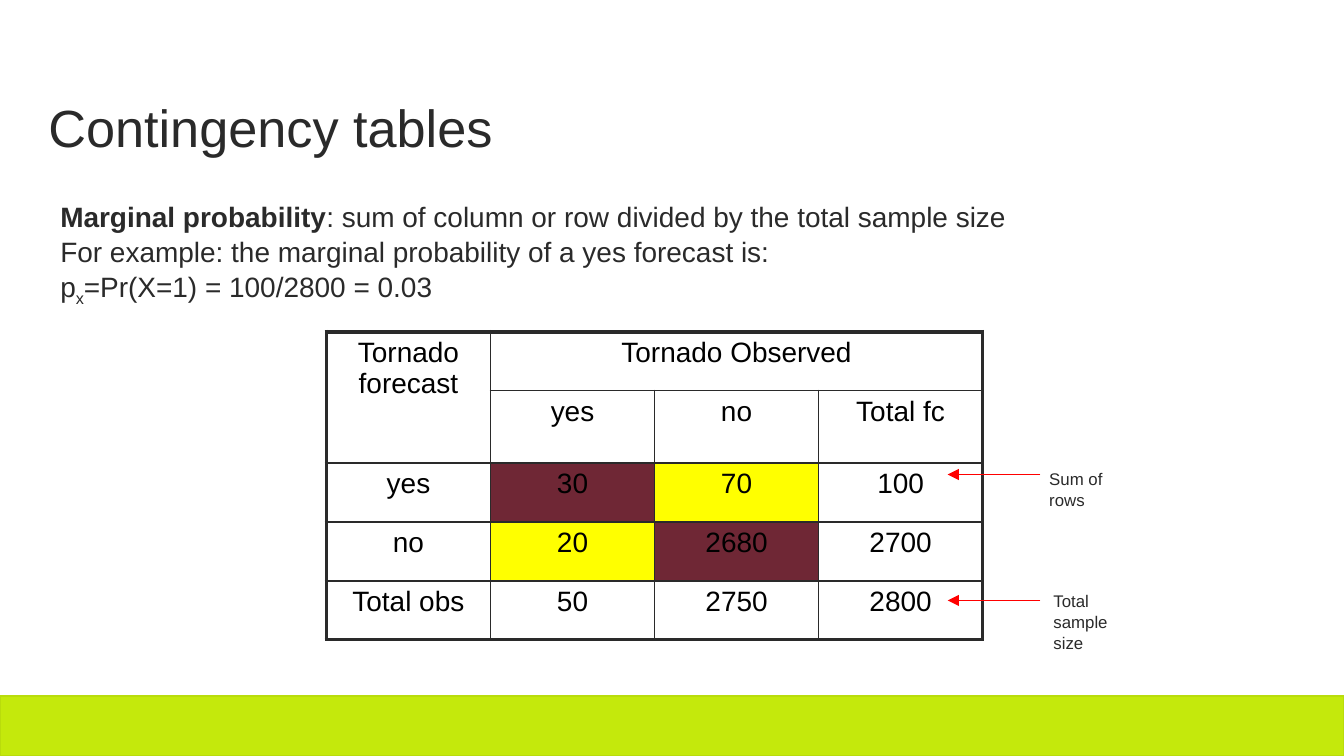
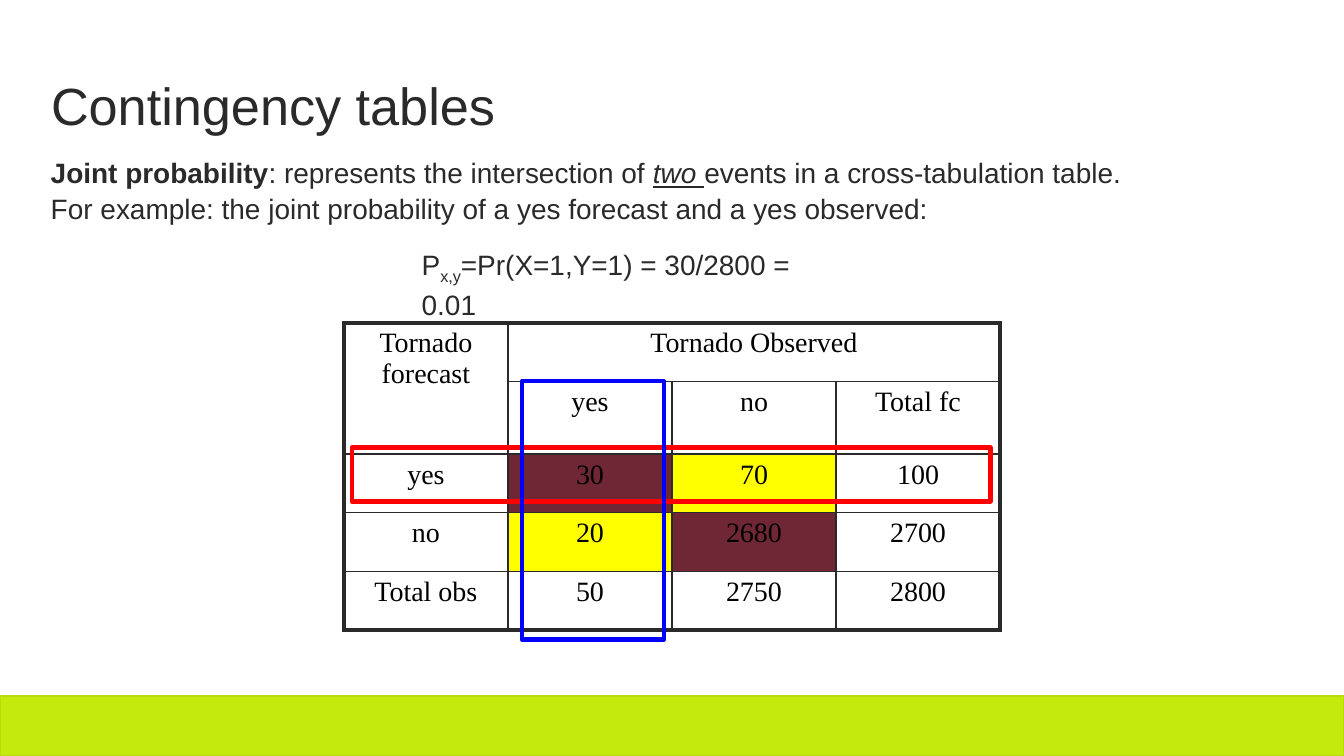
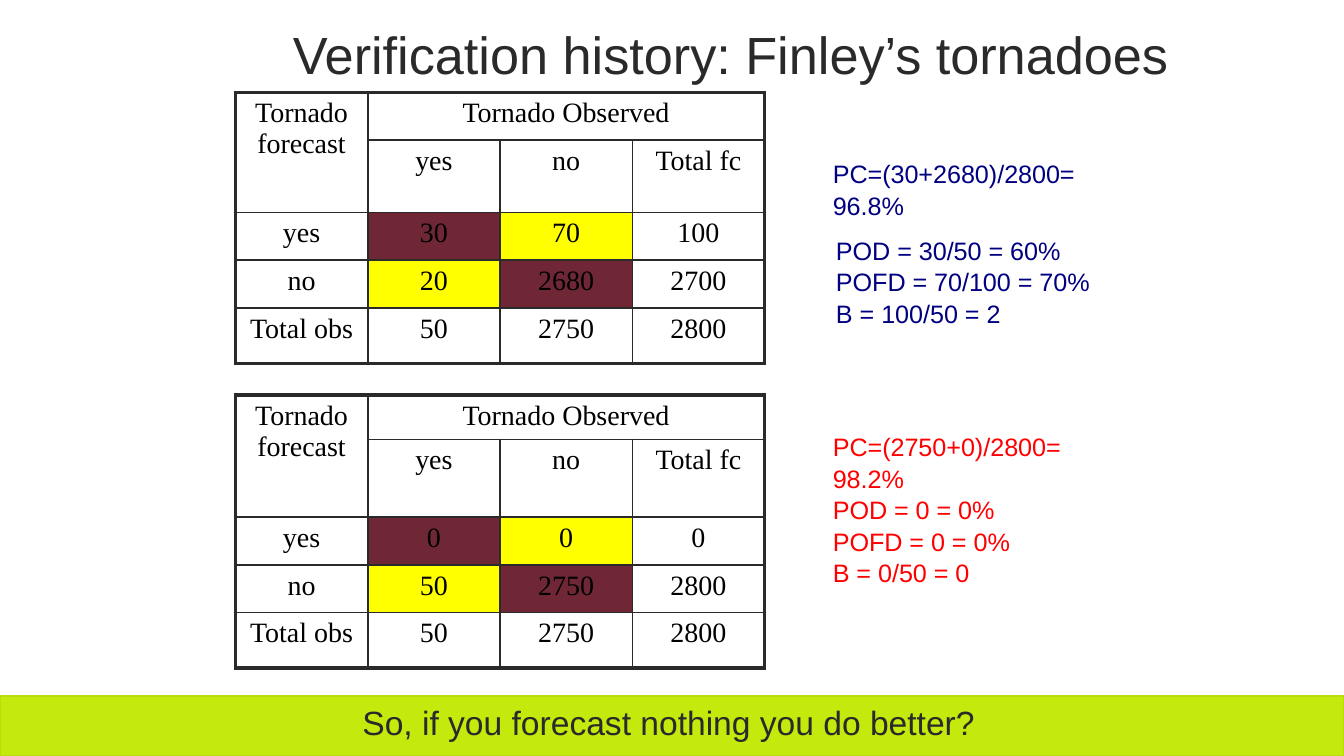
"""Build three slides on contingency tables and tornado forecast verification."""
from lxml import etree
from pptx import Presentation
from pptx import util as u
from pptx.dml.color import RGBColor
from pptx.enum import shapes, text
from pptx.oxml import ns

INK = RGBColor(0x2A, 0x2A, 0x2A)
BLACK = RGBColor(0, 0, 0)
LIME = RGBColor(0xC4, 0xE9, 0x0C)
LIME_EDGE = RGBColor(0xB9, 0xDC, 0x0C)
MAROON = RGBColor(0x6F, 0x27, 0x35)
YELLOW = RGBColor(0xFF, 0xFF, 0)
RED = RGBColor(0xFF, 0, 0)
BLUE = RGBColor(0, 0, 0xFF)
NAVY = RGBColor(0, 0, 0x80)

SANS, SERIF = "Arial", "Times New Roman"
PAGE_WIDTH, PAGE_HEIGHT, BAND_TOP = 25.4, 14.29, 13.16
TITLE_HEIGHT, WIDE = 1.6, 24
THIN, THICK = 1, 2.25

FINLEY = [(30, 70, 100), (20, 2680, 2700), (50, 2750, 2800)]
NO_FORECAST = [(0, 0, 0), (50, 2750, 2800), (50, 2750, 2800)]
ROW_LABELS = ["yes", "no", "Total obs"]
CELL_FILLS = {(2, 1): MAROON, (3, 2): MAROON, (2, 2): YELLOW, (3, 1): YELLOW}


def centimetres(*lengths):
    """Turn plain numbers into lengths."""
    return [u.Cm(length) for length in lengths]


def style_font(font, size, color, name=SANS):
    """Give a font its face, size and colour."""
    font.name, font.size, font.color.rgb = name, u.Pt(size), color


def add_page(deck, title, left, top, width=WIDE):
    """Add a slide with the lime band and a bottom-anchored title."""
    page = deck.slides.add_slide(deck.slide_layouts[5])
    add_rectangle(page, (0, BAND_TOP, PAGE_WIDTH, PAGE_HEIGHT - BAND_TOP), LIME_EDGE, 1, LIME)
    box = page.shapes.title
    box.left, box.top, box.width, box.height = centimetres(left, top, width, TITLE_HEIGHT)
    frame = box.text_frame
    frame.text = title
    frame.auto_size = text.MSO_AUTO_SIZE.NONE
    frame.vertical_anchor = text.MSO_ANCHOR.BOTTOM
    para = frame.paragraphs[0]
    para.alignment = text.PP_ALIGN.LEFT
    para.line_spacing = 0.9
    style_font(para.runs[0].font, 28, INK)
    return page


def add_rectangle(page, bounds, edge, weight, fill=None):
    """Draw a rectangle, hollow unless a fill is given."""
    box = page.shapes.add_shape(shapes.MSO_SHAPE.RECTANGLE, *centimetres(*bounds))
    box.shadow.inherit = False
    box.line.color.rgb, box.line.width = edge, u.Pt(weight)
    if fill is None:
        box.fill.background()
    else:
        box.fill.solid()
        box.fill.fore_color.rgb = fill


def add_text(page, bounds, lines, size, color=INK):
    """Write lines, each a string or a list of (text, style) spans."""
    frame = page.shapes.add_textbox(*centimetres(*bounds)).text_frame
    frame.word_wrap = True
    for index, line in enumerate(lines):
        para = frame.paragraphs[0] if index == 0 else frame.add_paragraph()
        para.line_spacing = 1.05
        for words, style in [(line, "")] if isinstance(line, str) else line:
            span = para.add_run()
            span.text = words
            style_font(span.font, size, color)
            if style == "bold":
                span.font.bold = True
            elif style == "stress":
                span.font.italic = span.font.underline = True
            elif style == "subscript":
                span.font._element.set("baseline", "-25000")


def add_arrow(page, start, end, level):
    """Draw a level red arrow."""
    arrow = page.shapes.add_connector(
        shapes.MSO_CONNECTOR.STRAIGHT, *centimetres(start, level, end, level))
    arrow.line.color.rgb, arrow.line.width = RED, u.Pt(0.75)
    etree.SubElement(arrow.line._get_or_add_ln(), ns.qn("a:tailEnd"), type="triangle")
    etree.SubElement(arrow.element.spPr, ns.qn("a:effectLst"))


def set_borders(cell, weights):
    """Rule the left, right, top and bottom edges of a cell."""
    properties = cell._tc.get_or_add_tcPr()
    for index, (edge, weight) in enumerate(zip("LRTB", weights)):
        line = etree.Element(ns.qn(f"a:ln{edge}"), w=str(u.Pt(weight)))
        fill = etree.SubElement(line, ns.qn("a:solidFill"))
        etree.SubElement(fill, ns.qn("a:srgbClr"), val=str(INK))
        properties.insert(index, line)


def add_contingency(page, left, top, column, heights, counts, face=SERIF):
    """Place a forecast against observation table at the given corner."""
    rows = [["Tornado forecast", "Tornado Observed", "", ""], ["", "yes", "no", "Total fc"]]
    rows += [[label, *map(str, values)] for label, values in zip(ROW_LABELS, counts)]
    last_row, last_column = len(rows) - 1, len(rows[0]) - 1
    bounds = centimetres(left, top, column * len(rows[0]), sum(heights))
    table = page.shapes.add_table(len(rows), len(rows[0]), *bounds).table
    table.first_row = table.horz_banding = False
    for part in table.columns:
        part.width = u.Cm(column)
    for part, height in zip(table.rows, heights):
        part.height = u.Cm(height)
    table.cell(0, 0).merge(table.cell(1, 0))
    table.cell(0, 1).merge(table.cell(0, last_column))
    for row, words in enumerate(rows):
        for place, word in enumerate(words):
            cell = table.cell(row, place)
            cell.margin_left = cell.margin_right = u.Cm(0.18)
            cell.margin_top = cell.margin_bottom = u.Cm(0.1)
            if (row, place) in CELL_FILLS:
                cell.fill.solid()
                cell.fill.fore_color.rgb = CELL_FILLS[row, place]
            else:
                cell.fill.background()
            outer = (place == 0, place + cell.span_width > last_column,
                     row == 0, row + cell.span_height > last_row)
            set_borders(cell, [THICK if edge else THIN for edge in outer])
            if word:
                cell.text = word
                para = cell.text_frame.paragraphs[0]
                para.alignment = text.PP_ALIGN.CENTER
                para.space_after = u.Pt(14.2)
                style_font(para.runs[0].font, 15, BLACK, face)


def add_scores(page, left, top, accuracy, accuracy_width, scores, scores_at, color):
    """Write the accuracy and, below it, the other scores."""
    add_text(page, (left, top, accuracy_width, 0.84), [accuracy], 13.5, color)
    shift, drop, width = scores_at
    add_text(page, (left + shift, top + drop, width, 1.98), scores, 13.5, color)


def build_marginal(deck):
    """Explain marginal probability."""
    page = add_page(deck, "Contingency tables", 0.66, 1.52)
    left, top = 6.17, 6.27
    add_contingency(page, left, top, 3.1, [1.11] * 5, FINLEY, SANS)
    add_text(page, (0.89, 3.61, WIDE, 2.18), [
        [("Marginal probability", "bold"),
         (": sum of column or row divided by the total sample size", "")],
        "For example: the marginal probability of a yes forecast is:",
        [("p", ""), ("x", "subscript"), ("=Pr(X=1) = 100/2800 = 0.03", "")],
    ], 15)
    for drop in (2.7, 5.08):
        add_arrow(page, left + 13.49, left + 11.74, top + drop)
    add_text(page, (left + 13.41, top + 2.44, 2.13, 0.64), ["Sum of rows"], 9)
    add_text(page, (left + 13.49, top + 4.75, 2.26, 1.02), ["Total sample", "size"], 9)


def build_joint(deck):
    """Explain joint probability."""
    page = add_page(deck, "Contingency tables", 0.71, 1.12)
    left, top = 6.5, 6.1
    add_contingency(page, left, top, 3.1, [1.11] * 5, FINLEY)
    add_text(page, (0.71, 2.79, WIDE, 1.55), [
        [("Joint probability", "bold"), (": represents the intersection of ", ""),
         ("two ", "stress"), ("events in a cross-tabulation table.", "")],
        "For example: the joint probability of a yes forecast and a yes observed:",
    ], 15)
    add_rectangle(page, (left + 0.15, top + 2.36, 12.07, 1.02), RED, THICK)
    add_rectangle(page, (left + 3.36, top + 1.11, 2.69, 4.88), BLUE, THICK)
    add_text(page, (7.72, 4.52, 7.75, 0.89), [
        [("P", ""), ("x,y", "subscript"), ("=Pr(X=1,Y=1) = 30/2800 = 0.01", "")],
    ], 15)


def build_history(deck):
    """Compare Finley's forecasts with never forecasting."""
    page = add_page(deck, "Verification history: Finley’s tornadoes", 5.28, 0.15, 17.15)
    add_contingency(page, 4.45, 1.75, 2.5, [0.9, 1.05, 0.9, 0.9, 1.05], FINLEY)
    add_scores(page, 15.49, 2.84, "PC=(30+2680)/2800= 96.8%", 5.97,
               ["POD = 30/50 = 60%", "POFD = 70/100 = 70%", "B = 100/50 = 2"],
               (0.06, 1.45, 5.4), NAVY)
    add_contingency(page, 4.45, 7.47, 2.5, [0.83, 1.05, 0.9, 0.9, 1.05], NO_FORECAST)
    add_scores(page, 15.49, 8, "PC=(2750+0)/2800= 98.2%", 5.74,
               ["POD = 0 = 0%", "POFD = 0 = 0%", "B = 0/50 = 0"],
               (0, 1.19, 3.91), RED)
    add_text(page, (6.6, 13.11, 12.2, 1.02), ["So, if you forecast nothing you do better?"], 18)


def main():
    """Build and save the deck."""
    deck = Presentation()
    deck.slide_width, deck.slide_height = centimetres(PAGE_WIDTH, PAGE_HEIGHT)
    for build in (build_marginal, build_joint, build_history):
        build(deck)
    deck.save("out.pptx")


if __name__ == "__main__":
    main()
